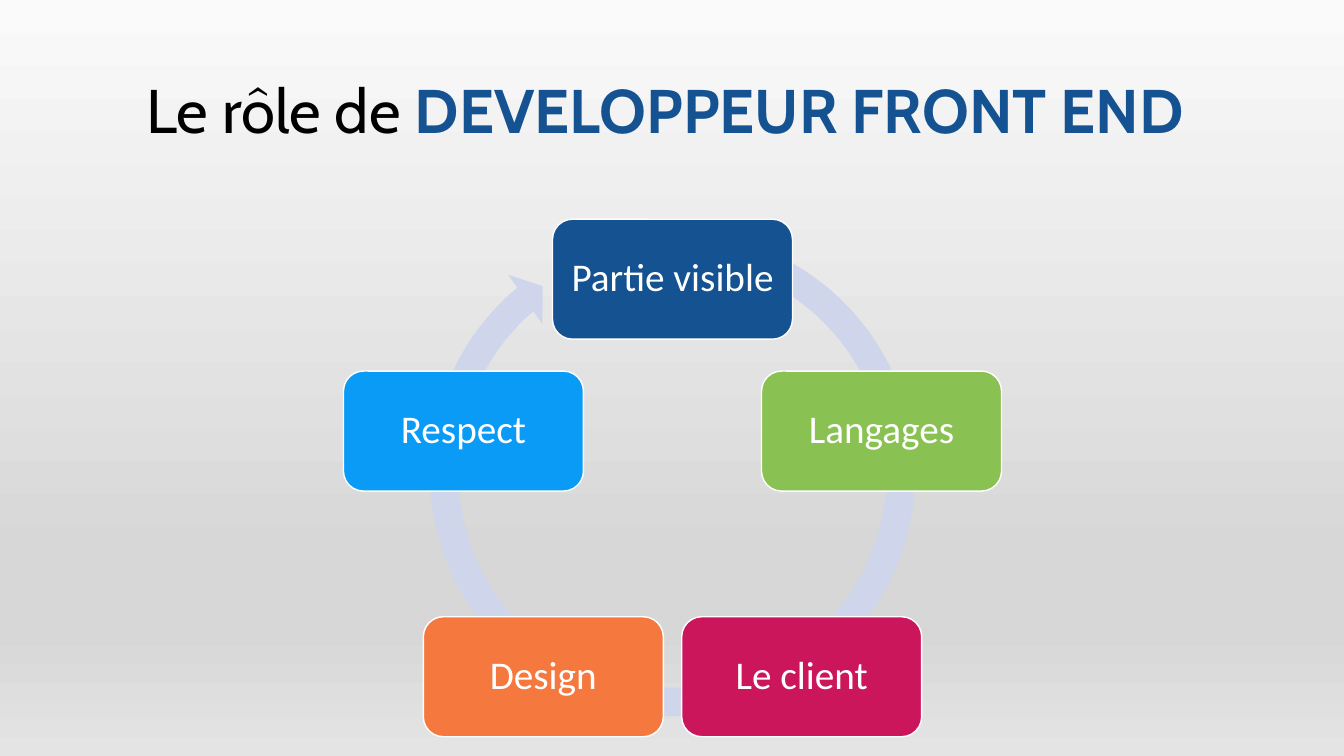
from math import cos, radians, sin

from lxml import etree
from pptx import Presentation
from pptx import util as u
from pptx.dml.color import RGBColor
from pptx.enum import shapes, text
from pptx.oxml.ns import qn

HUES = {
    "black": "000000", "white": "FFFFFF", "ring": "CFD5EA",
    "blue": "155291", "green": "89C152", "pink": "CC165C",
    "orange": "F5793E", "sky": "0A9BF7",
}
STOPS = [(0, "FAFAFA"), (74, "D7D7D7"), (83, "D7D7D7"), (100, "E4E4E4")]
STEPS = [
    ("Partie visible", "blue"), ("Langages", "green"), ("Le client", "pink"),
    ("Design", "orange"), ("Respect", "sky"),
]
MID_X, MID_Y, RADIUS = 6.67, 4.95, 2.18
BOX_W, BOX_H = 2.38, 1.19


def rgb(name):
    return RGBColor.from_string(HUES[name])


def add_back(slide):
    """Fill the background with a vertical gradient of several stops."""
    fill = slide.background.fill
    fill.gradient()
    fill.gradient_angle = 270
    stops = next(slide.element.iter(qn("a:gsLst")))
    for stop in list(stops):
        stops.remove(stop)
    for place, hue in STOPS:
        stop = etree.SubElement(stops, qn("a:gs"), pos=str(place * 1000))
        etree.SubElement(stop, qn("a:srgbClr"), val=hue)


def set_para(frame, size, font):
    """Centre the frame's text and return its styled paragraph."""
    frame.word_wrap = True
    frame.vertical_anchor = text.MSO_ANCHOR.MIDDLE
    para = frame.paragraphs[0]
    para.alignment = text.PP_ALIGN.CENTER
    para.line_spacing = 0.9
    para.font.size = u.Pt(size)
    para.font.name = font
    return para


def add_title(slide):
    box = slide.shapes.add_textbox(
        u.Inches(0.92), u.Inches(0.4), u.Inches(11.5), u.Inches(1.45))
    para = set_para(box.text_frame, 44, "Cabin")
    for words, hue, bold in [("Le rôle de ", "black", False),
                             ("DEVELOPPEUR FRONT END ", "blue", True)]:
        run = para.add_run()
        run.text = words
        run.font.bold = bold
        run.font.color.rgb = rgb(hue)


def add_form(slide, kind, left, top, width, height, hue):
    form = slide.shapes.add_shape(
        kind, u.Inches(left), u.Inches(top), u.Inches(width), u.Inches(height))
    form.shadow.inherit = False
    form.fill.solid()
    form.fill.fore_color.rgb = rgb(hue)
    return form


def add_ring(slide):
    ring = add_form(slide, shapes.MSO_SHAPE.CIRCULAR_ARROW,
                    4.11, 2.14, 5.12, 5.12, "ring")
    ring.line.fill.background()
    for i, value in enumerate([0.055, 3.307, 137.905, 173.771, 0.058]):
        ring.adjustments[i] = value


def add_step(slide, angle, label, hue):
    """Add a box on the circle, its angle counted clockwise from the top."""
    left = MID_X + RADIUS * sin(angle) - BOX_W / 2
    top = MID_Y - RADIUS * cos(angle) - BOX_H / 2
    box = add_form(slide, shapes.MSO_SHAPE.ROUNDED_RECTANGLE,
                   left, top, BOX_W, BOX_H, hue)
    box.line.color.rgb = rgb("white")
    box.line.width = u.Pt(1)
    frame = box.text_frame
    frame.margin_left = frame.margin_right = u.Inches(0.12)
    frame.margin_top = frame.margin_bottom = u.Inches(0.12)
    para = set_para(frame, 28, "Calibri")
    para.text = label
    para.font.color.rgb = rgb("white")


def main():
    deck = Presentation()
    deck.slide_width, deck.slide_height = u.Inches(13.33), u.Inches(7.5)
    slide = deck.slides.add_slide(deck.slide_layouts[6])
    add_back(slide)
    add_title(slide)
    add_ring(slide)
    for i, (label, hue) in enumerate(STEPS):
        add_step(slide, radians(i * 360 / len(STEPS)), label, hue)
    deck.save("out.pptx")


if __name__ == "__main__":
    main()
